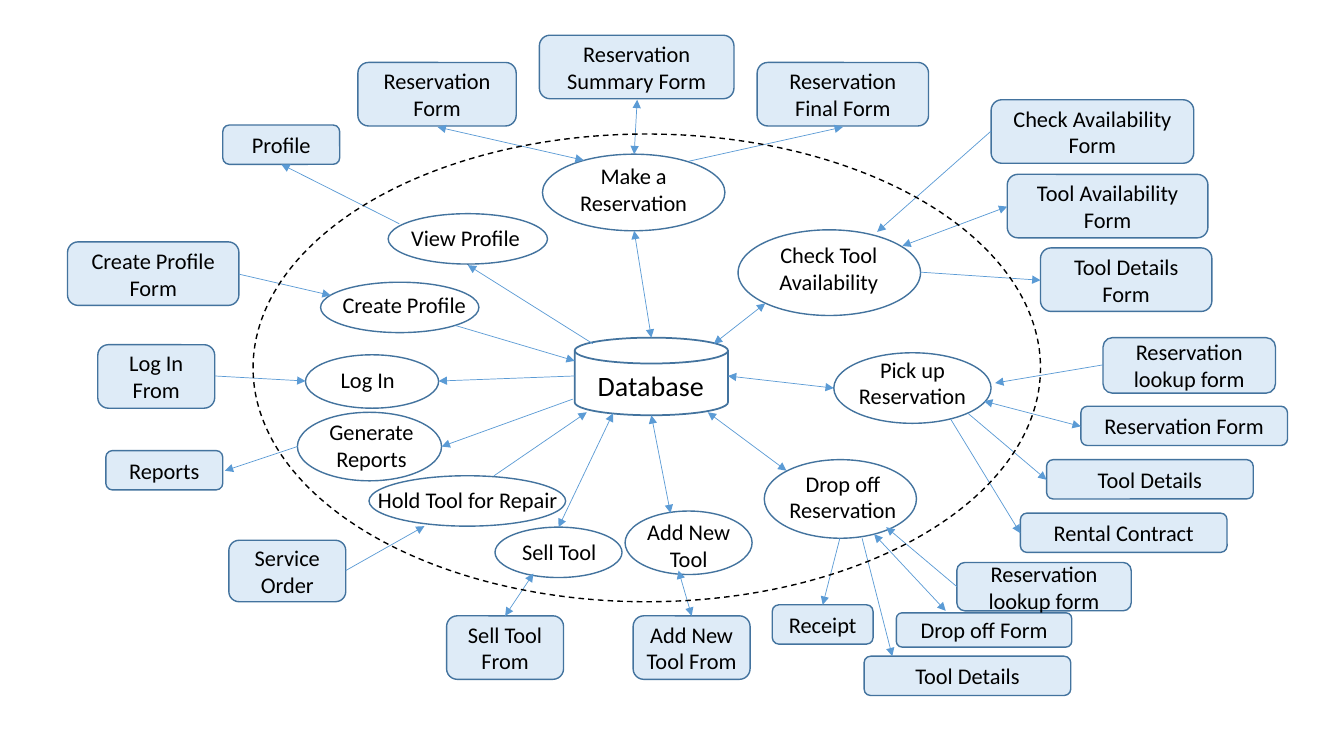
from typing import NamedTuple

from lxml import etree
from pptx import Presentation
from pptx.dml.color import RGBColor
from pptx.enum.dml import MSO_LINE
from pptx.enum.shapes import MSO_CONNECTOR, MSO_SHAPE
from pptx.enum.text import MSO_ANCHOR, PP_ALIGN
from pptx.oxml.ns import qn
from pptx.util import Inches, Pt

OVAL, ROUND = MSO_SHAPE.OVAL, MSO_SHAPE.ROUNDED_RECTANGLE
DISK = MSO_SHAPE.FLOWCHART_MAGNETIC_DISK
DASH, LINE = MSO_LINE.DASH, MSO_CONNECTOR.STRAIGHT
LEFT, MID = PP_ALIGN.LEFT, PP_ALIGN.CENTER
TOP, HALF = MSO_ANCHOR.TOP, MSO_ANCHOR.MIDDLE

BLACK = RGBColor(0x00, 0x00, 0x00)
PALE = RGBColor(0xDE, 0xEB, 0xF7)
STEEL = RGBColor(0x43, 0x73, 0x9E)
BLUE = RGBColor(0x5B, 0x9B, 0xD5)
FONT = "Calibri"

# The slide is a fine grid; every place below is in its columns and rows.
COLS, ROWS = 1333, 750
WIDE, HIGH = Inches(13.33), Inches(7.5)
ONE, TWO = 37, 65  # rows taken by a label of one or two lines


class Area(NamedTuple):
    """A block of grid cells."""
    col: float
    row: float
    wide: float
    high: float


class Form(NamedTuple):
    """A form or report outside the system."""
    text: str
    area: Area


class Task(NamedTuple):
    """A process inside the system, with the place of its label."""
    text: str
    area: Area
    label: Area


class Link(NamedTuple):
    """A data flow; both marks a flow in two directions."""
    col: float
    row: float
    to_col: float
    to_row: float
    both: bool = False


RING = Area(251, 133, 781, 464)
STORE = Task("Database", Area(570, 335, 152, 77), Area(583, 361, 127, 44))

TASKS = [
    Task("Log In", Area(303, 352, 132, 53), Area(328, 358, 75, ONE)),
    Task("Create Profile", Area(318, 280, 157, 50), Area(330, 284, 144, ONE)),
    Task("View Profile", Area(385, 212, 158, 50), Area(398, 217, 130, ONE)),
    Task("Make a Reservation", Area(538, 153, 181, 76), Area(551, 156, 155, TWO)),
    Task("Check Tool Availability", Area(732, 228, 181, 85), Area(741, 234, 162, TWO)),
    Task("Pick up Reservation", Area(827, 350, 156, 70), Area(823, 348, 164, TWO)),
    Task("Drop off Reservation", Area(758, 456, 151, 78), Area(766, 461, 140, TWO)),
    Task("Add New Tool", Area(620, 507, 126, 63), Area(627, 509, 112, TWO)),
    Task("Sell Tool", Area(491, 523, 126, 50), Area(508, 529, 95, ONE)),
    Task("Hold Tool for Repair", Area(366, 472, 195, 50), Area(365, 477, 201, ONE)),
    Task("Generate Reports", Area(295, 409, 143, 68), Area(308, 410, 121, TWO)),
]

FORMS = [
    Form("Log In From", Area(97, 342, 116, 63)),
    Form("Create Profile Form", Area(67, 240, 170, 63)),
    Form("Profile", Area(221, 124, 116, 39)),
    Form("Reservation Form", Area(355, 62, 157, 63)),
    Form("Reservation Summary Form", Area(535, 35, 193, 63)),
    Form("Reservation Final Form", Area(751, 62, 170, 63)),
    Form("Check Availability Form", Area(983, 99, 201, 63)),
    Form("Tool Availability Form", Area(999, 173, 199, 63)),
    Form("Tool Details Form", Area(1032, 246, 170, 63)),
    Form("Reservation lookup form", Area(1094, 335, 171, 55)),
    Form("Reservation Form", Area(1072, 403, 205, 39)),
    Form("Tool Details", Area(1038, 456, 205, 39)),
    Form("Rental Contract", Area(1012, 509, 205, 39)),
    Form("Drop off Form", Area(889, 608, 174, 34)),
    Form("Reservation lookup form", Area(949, 558, 173, 48)),
    Form("Tool Details", Area(857, 651, 205, 39)),
    Form("Receipt", Area(766, 600, 100, 39)),
    Form("Add New Tool From", Area(628, 611, 116, 63)),
    Form("Sell Tool From", Area(443, 611, 116, 63)),
    Form("Service Order", Area(227, 536, 116, 61)),
    Form("Reports", Area(105, 447, 116, 39)),
]

LINKS = [
    # Log in and profiles
    Link(570, 373, 435, 378), Link(213, 373, 303, 378),
    Link(237, 272, 328, 293), Link(452, 323, 570, 358),
    Link(588, 341, 464, 263), Link(396, 222, 279, 163),
    # Make a reservation
    Link(646, 335, 629, 229, True), Link(434, 126, 579, 159, True),
    Link(632, 99, 629, 153, True), Link(683, 160, 836, 126),
    # Check tool availability
    Link(708, 341, 759, 301, True), Link(983, 130, 870, 230),
    Link(895, 244, 999, 205, True), Link(913, 270, 1032, 278),
    # Pick up
    Link(722, 373, 827, 385, True), Link(1094, 362, 987, 380),
    Link(976, 398, 1072, 423, True), Link(960, 410, 1038, 476),
    Link(943, 416, 1012, 529),
    # Drop off
    Link(702, 409, 780, 467, True), Link(833, 534, 816, 600),
    Link(867, 530, 938, 606, True), Link(855, 534, 885, 651),
    Link(949, 582, 879, 523),
    # Add, sell and repair tools
    Link(646, 412, 665, 509, True), Link(673, 566, 686, 611, True),
    Link(608, 410, 554, 523, True), Link(529, 569, 501, 611, True),
    Link(343, 566, 421, 522), Link(490, 472, 582, 409),
    # Reports
    Link(568, 396, 438, 443), Link(295, 443, 223, 467),
]


def across(col: float) -> int:
    """Turn columns into a length."""
    return round(WIDE * col / COLS)


def down(row: float) -> int:
    """Turn rows into a length."""
    return round(HIGH * row / ROWS)


def place(area: Area) -> tuple[int, int, int, int]:
    """Turn grid cells into left, top, width and height."""
    return across(area.col), down(area.row), across(area.wide), down(area.high)


def write(shape, text: str, size: float, align, anchor, wrap: bool) -> None:
    """Put black text into a shape."""
    frame = shape.text_frame
    frame.word_wrap = wrap
    frame.vertical_anchor = anchor
    frame.text = text
    par = frame.paragraphs[0]
    par.alignment = align
    par.font.name, par.font.size = FONT, Pt(size)
    par.font.color.rgb = BLACK


def outline(kind, area: Area, color: RGBColor, width: float = 1):
    """Draw an unfilled shape."""
    shape = slide.shapes.add_shape(kind, *place(area))
    shape.shadow.inherit = False
    shape.fill.background()
    shape.line.color.rgb = color
    shape.line.width = Pt(width)
    return shape


def add_task(task: Task, kind=OVAL, width: float = 1, size: float = 16) -> None:
    """Draw a process or store and its label."""
    outline(kind, task.area, STEEL, width)
    box = slide.shapes.add_textbox(*place(task.label))
    wrap = task.label.high == TWO
    write(box, task.text, size, MID if wrap else LEFT, TOP, wrap)


def add_form(form: Form) -> None:
    """Draw a pale box with its text in the middle."""
    box = outline(ROUND, form.area, STEEL)
    box.fill.solid()
    box.fill.fore_color.rgb = PALE
    write(box, form.text, 16, MID, HALF, True)


def add_link(link: Link) -> None:
    """Draw an arrow with a head at one end or both."""
    wire = slide.shapes.add_connector(
        LINE, across(link.col), down(link.row), across(link.to_col), down(link.to_row))
    wire.line.color.rgb = BLUE
    wire.line.width = Pt(0.5)
    props = wire.line._get_or_add_ln()
    for end in ("a:headEnd", "a:tailEnd") if link.both else ("a:tailEnd",):
        etree.SubElement(props, qn(end), type="triangle")
    etree.SubElement(wire._element.spPr, qn("a:effectLst"))


deck = Presentation()
deck.slide_width, deck.slide_height = WIDE, HIGH
slide = deck.slides.add_slide(deck.slide_layouts[6])

add_task(STORE, DISK, 1.25, 20)
for task in TASKS:
    add_task(task)
for form in FORMS:
    add_form(form)
for link in LINKS:
    add_link(link)
outline(OVAL, RING, BLACK).line.dash_style = DASH

deck.save("out.pptx")
